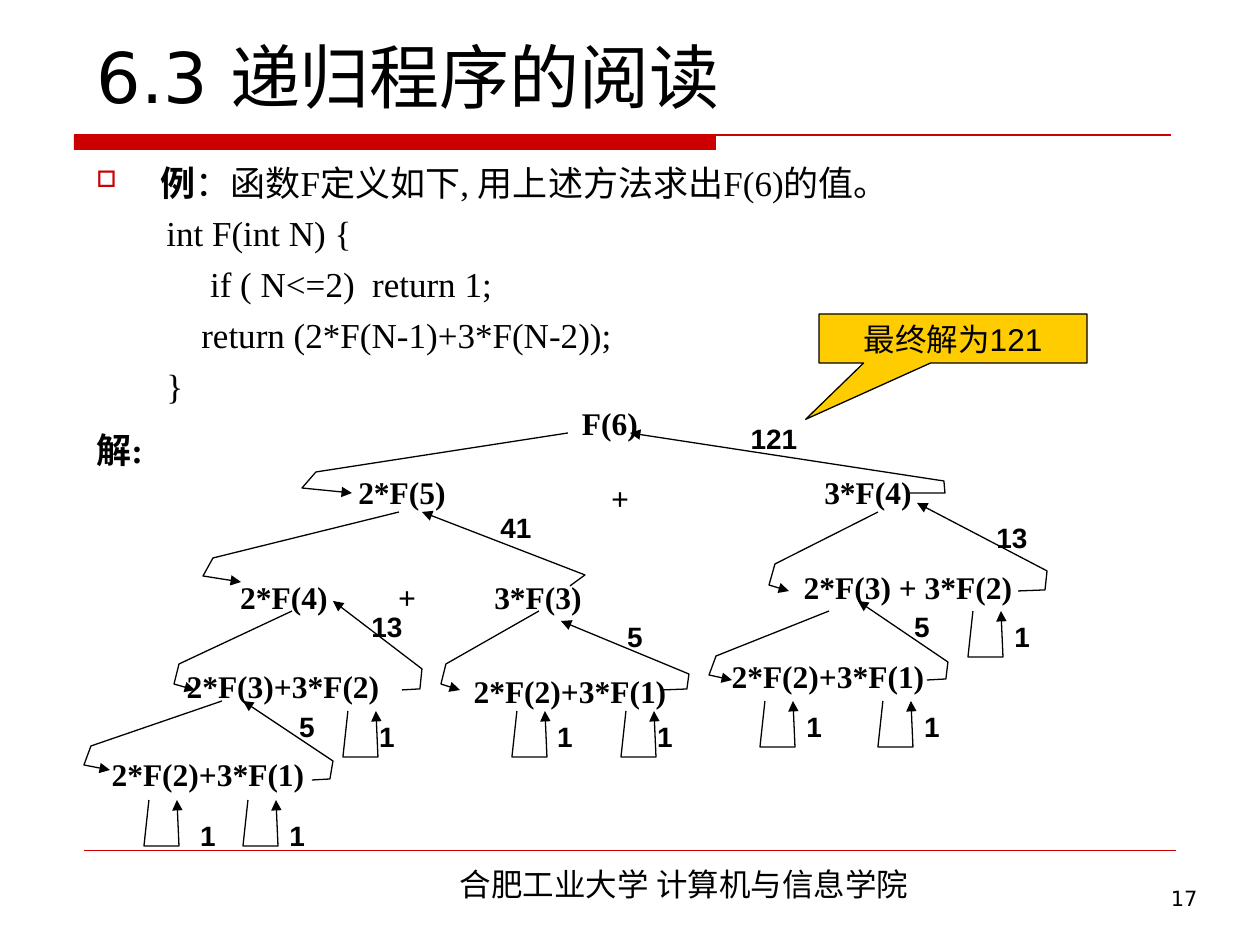
import pptx
import pptx.dml.color
import pptx.enum.shapes
import pptx.enum.text
import pptx.oxml.ns
import pptx.util
from lxml import etree

COLORS = {"red": "CC0000", "gold": "FFCC00", "black": "000000"}
SERIF, SANS, WIDE, HAN = "Times New Roman", "Arial", "DejaVu Sans", "Noto Sans CJK SC"
ALIGN = pptx.enum.text.PP_ALIGN
ANCHOR = pptx.enum.text.MSO_ANCHOR
SHAPE = pptx.enum.shapes.MSO_SHAPE
EMU_PER_PX = 914400 / 126


def px(length):
    """Turn pixels into EMU."""
    return pptx.util.Emu(round(length * EMU_PER_PX))


def child(parent, tag, **attributes):
    """Append a DrawingML element to its parent."""
    return etree.SubElement(parent, pptx.oxml.ns.qn(tag), attributes)


class SlideBuilder:
    """Hold the slide and its style, and draw each kind of element."""

    def __init__(self, slide):
        """Keep the slide to draw on."""
        self.slide = slide

    def color(self, name):
        """Look up a named colour."""
        return pptx.dml.color.RGBColor.from_string(COLORS[name])

    def run(self, paragraph, text, size, font, bold=False):
        """Add one styled run."""
        run = paragraph.add_run()
        run.text = text
        run.font.size = pptx.util.Pt(size)
        run.font.name = font
        run.font.bold = bold
        run.font.color.rgb = self.color("black")
        child(run.font._element, "a:ea", typeface=HAN)

    def title(self, text, box):
        """Place and fill the title placeholder."""
        title = self.slide.shapes.title
        title.left, title.top, title.width, title.height = map(px, box)
        title.text_frame.vertical_anchor = ANCHOR.BOTTOM
        paragraph = title.text_frame.paragraphs[0]
        paragraph.alignment = ALIGN.LEFT
        self.run(paragraph, text, 40, WIDE)

    def text(self, text, box, size, font, align):
        """Add a wrapped one-paragraph text box."""
        frame = self.slide.shapes.add_textbox(*map(px, box)).text_frame
        frame.word_wrap = True
        frame.paragraphs[0].alignment = align
        self.run(frame.paragraphs[0], text, size, font)

    def label(self, text, x, y, size, font):
        """Add a bold label centred on a point."""
        width, height = 40 + 18 * len(text), 40
        box = (x - width / 2, y - height / 2, width, height)
        frame = self.slide.shapes.add_textbox(*map(px, box)).text_frame
        frame.word_wrap = False
        frame.vertical_anchor = ANCHOR.MIDDLE
        frame.paragraphs[0].alignment = ALIGN.CENTER
        self.run(frame.paragraphs[0], text, size, font, True)

    def body(self, lines, box):
        """Add the problem statement, bulleted on its first line."""
        frame = self.slide.shapes.add_textbox(*map(px, box)).text_frame
        frame.word_wrap = True
        for index, (space, runs) in enumerate(lines):
            paragraph = frame.add_paragraph() if index else frame.paragraphs[0]
            properties = paragraph._p.get_or_add_pPr()
            properties.set("marL", str(px(64)))
            properties.set("indent", str(px(-64)))
            if index:
                paragraph.space_before = pptx.util.Pt(space)
            else:
                child(child(properties, "a:buClr"), "a:srgbClr", val=COLORS["red"])
                child(properties, "a:buSzPct", val="65000")
                child(properties, "a:buChar", char="□")
            for text, bold in runs:
                self.run(paragraph, text, 20, SERIF, bold)

    def bar(self, box):
        """Add a solid red bar."""
        bar = self.slide.shapes.add_shape(SHAPE.RECTANGLE, *map(px, box))
        bar.shadow.inherit = False
        bar.fill.solid()
        bar.fill.fore_color.rgb = self.color("red")
        bar.line.fill.background()

    def rule(self, left, right, y, weight):
        """Add a horizontal red line."""
        rule = self.slide.shapes.add_connector(
            pptx.enum.shapes.MSO_CONNECTOR.STRAIGHT, px(left), px(y), px(right), px(y))
        rule.line.color.rgb = self.color("red")
        rule.line.width = pptx.util.Pt(weight)
        child(rule._element.spPr, "a:effectLst")

    def arrow(self, points):
        """Add a bent arrow through the points."""
        builder = self.slide.shapes.build_freeform(*points[0], scale=EMU_PER_PX)
        builder.add_line_segments(points[1:], close=False)
        arrow = builder.convert_to_shape()
        arrow.shadow.inherit = False
        arrow.fill.background()
        arrow.line.color.rgb = self.color("black")
        arrow.line.width = pptx.util.Pt(0.75)
        child(arrow.line._get_or_add_ln(), "a:tailEnd", type="triangle")

    def callout(self, text, box, tip):
        """Add a gold callout."""
        callout = self.slide.shapes.add_shape(SHAPE.RECTANGULAR_CALLOUT, *map(px, box))
        callout.adjustments[0], callout.adjustments[1] = tip
        callout.shadow.inherit = False
        callout.fill.solid()
        callout.fill.fore_color.rgb = self.color("gold")
        callout.line.color.rgb = self.color("black")
        callout.line.width = pptx.util.Pt(0.75)
        callout.text_frame.vertical_anchor = ANCHOR.TOP
        paragraph = callout.text_frame.paragraphs[0]
        paragraph.alignment = ALIGN.CENTER
        self.run(paragraph, text, 18, SANS)


STATEMENT = [
    (0, [("例", True), ("：函数F定义如下, 用上述方法求出F(6)的值。", False)]),
    (5, [("        int F(int N) {", False)]),
    (5, [("             if ( N<=2)  return 1;", False)]),
    (5, [("            return (2*F(N-1)+3*F(N-2));", False)]),
    (5, [("        }", False)]),
    (12.5, [("解:", True)]),
]
CALLS = [
    ("F(6)", 610, 423), ("2*F(5)", 402, 492), ("+", 620, 498), ("3*F(4)", 868, 492),
    ("2*F(4)", 284, 597), ("+", 407, 597), ("3*F(3)", 538, 597),
    ("2*F(3) + 3*F(2)", 908, 587), ("2*F(3)+3*F(2)", 283, 686),
    ("2*F(2)+3*F(1)", 570, 691), ("2*F(2)+3*F(1)", 828, 676),
    ("2*F(2)+3*F(1)", 208, 774),
]
RESULTS = [
    ("121", 774, 438), ("41", 516, 527), ("13", 1012, 537), ("13", 387, 626),
    ("5", 635, 636), ("5", 922, 626), ("5", 307, 726), ("1", 1022, 636),
    ("1", 387, 736), ("1", 565, 736), ("1", 665, 736), ("1", 814, 726),
    ("1", 932, 726), ("1", 208, 835), ("1", 297, 835),
]
DESCENTS = [
    [(568, 433), (316, 472), (302, 488), (352, 493)],
    [(399, 512), (213, 558), (203, 576), (241, 582)],
    [(539, 611), (446, 664), (441, 684), (460, 690)],
    [(292, 611), (179, 664), (174, 684), (195, 690)],
    [(878, 512), (775, 564), (769, 585), (789, 591)],
    [(222, 701), (91, 746), (84, 765), (110, 770)],
    [(829, 611), (716, 656), (709, 675), (732, 680)],
]
RETURNS = [
    [(570, 586), (585, 575), (422, 512)],
    [(910, 493), (945, 493), (944, 481), (630, 433)],
    [(1018, 591), (1045, 590), (1047, 571), (917, 503)],
    [(927, 680), (946, 679), (948, 662), (858, 601)],
    [(660, 690), (687, 689), (689, 674), (561, 621)],
    [(402, 690), (420, 689), (422, 669), (333, 601)],
    [(312, 780), (330, 779), (333, 761), (243, 701)],
]
BASE_CASES = [(149, 800), (248, 800), (348, 711), (517, 711), (626, 711),
              (765, 701), (883, 701), (973, 611)]
LOOP = [(0, 0), (-5, 46), (30, 46), (28, 0)]


def main():
    """Build the recursion slide."""
    deck = pptx.Presentation()
    deck.slide_width, deck.slide_height = px(1260), px(945)
    page = SlideBuilder(deck.slides.add_slide(deck.slide_layouts[5]))
    page.bar((74, 135, 642, 15))
    page.rule(74, 1171, 135, 0.75)
    page.rule(84, 1176, 850, 0.25)
    page.text("合肥工业大学 计算机与信息学院", (302, 859, 764, 50), 18, HAN, ALIGN.CENTER)
    page.title("6.3 递归程序的阅读", (84, -44, 1103, 168))
    page.body(STATEMENT, (84, 155, 1101, 694))
    for call in CALLS:
        page.label(*call, 18, SERIF)
    loops = [[(x + dx, y + dy) for dx, dy in LOOP] for x, y in BASE_CASES]
    for points in DESCENTS + RETURNS + loops:
        page.arrow(points)
    for result in RESULTS:
        page.label(*result, 16, SANS)
    page.callout("最终解为121", (819, 314, 268, 49), (-0.55, 1.65))
    page.text("17", (937, 879, 273, 66), 12, WIDE, ALIGN.RIGHT)
    deck.save("out.pptx")


if __name__ == "__main__":
    main()
